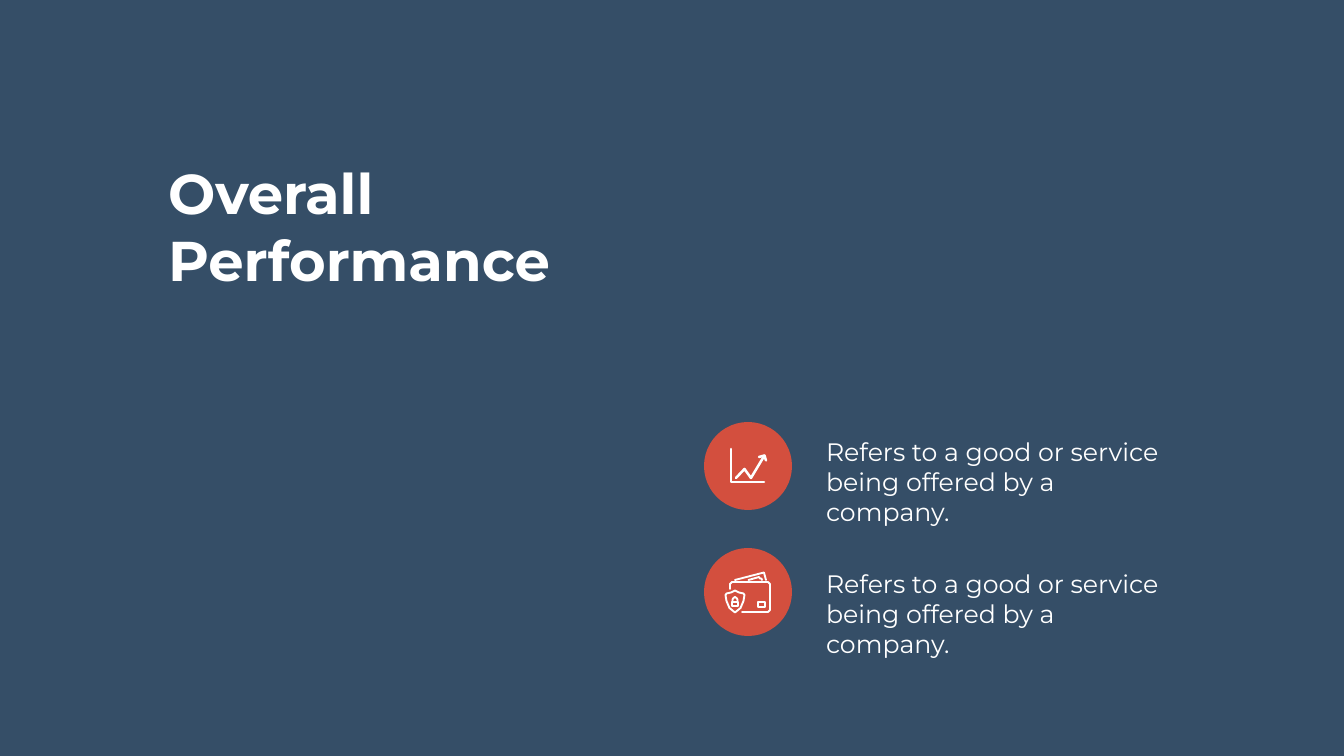
from dataclasses import dataclass

from pptx import Presentation
from pptx.dml.color import RGBColor
from pptx.enum.shapes import MSO_SHAPE
from pptx.enum.text import MSO_ANCHOR, MSO_AUTO_SIZE, PP_ALIGN
from pptx.oxml.ns import qn
from pptx.util import Pt
from lxml import etree

OVAL = MSO_SHAPE.OVAL
TOP = MSO_ANCHOR.TOP
GROW = MSO_AUTO_SIZE.SHAPE_TO_FIT_TEXT
LEFT = PP_ALIGN.LEFT
EMU_PER_PIXEL = 914400 / 50.4


@dataclass(frozen=True)
class Theme:
    background: RGBColor = RGBColor(0x35, 0x4E, 0x67)
    accent: RGBColor = RGBColor(0xD3, 0x4F, 0x3E)
    text: RGBColor = RGBColor(0xFF, 0xFF, 0xFF)
    icon: RGBColor = RGBColor(0xFE, 0xFF, 0xFF)
    font: str = "Montserrat"
    title_size: Pt = Pt(80)
    body_size: Pt = Pt(36)


theme = Theme()


def px(value):
    return round(value * EMU_PER_PIXEL)


def fill_placeholder(shape, text, box, size, bold, inset):
    shape.left, shape.top, shape.width, shape.height = map(px, box)
    text_frame = shape.text_frame
    text_frame.text = text
    text_frame.word_wrap = True
    text_frame.auto_size = GROW
    text_frame.vertical_anchor = TOP
    text_frame.margin_left = text_frame.margin_right = px(inset * 2)
    text_frame.margin_top = text_frame.margin_bottom = px(inset)
    paragraph = text_frame.paragraphs[0]
    paragraph.alignment = LEFT
    properties = paragraph._p.get_or_add_pPr()
    properties.set("marL", "0")
    properties.set("indent", "0")
    etree.SubElement(properties, qn("a:buNone"))
    font = paragraph.runs[0].font
    font.name = theme.font
    font.size = size
    font.bold = bold
    font.color.rgb = theme.text


presentation = Presentation()
presentation.slide_width = px(1344)
presentation.slide_height = px(756)
slide = presentation.slides.add_slide(presentation.slide_layouts[3])
slide.background.fill.solid()
slide.background.fill.fore_color.rgb = theme.background

title, *descriptions = list(slide.placeholders)[:3]
fill_placeholder(title, "Overall Performance", (163, 156, 407, 141),
                 theme.title_size, True, 2.5)

chart_icon = [
    ([(731, 449), (731, 482), (764, 482)], False),
    ([(736, 478), (744.5, 469), (751, 478), (764.5, 455.5)], False),
    ([(759, 457), (764.5, 455.5), (766, 460.5)], False),
]
wallet_icon = [
    ([(730, 589), (730, 584), (732, 582), (768, 582), (770, 584),
      (770, 610), (768, 612), (742, 612)], False),
    ([(758, 602), (765, 602), (765, 607), (758, 607)], True),
    ([(735, 580), (764, 572.5), (766, 580)], False),
    ([(748.5, 580), (759, 577), (760, 578.5), (761.5, 578.5), (762, 580)], False),
    ([(735, 590.5), (731, 592.5), (726.5, 593.5), (725.5, 595), (726.5, 601),
      (729.5, 608), (735, 612.5), (740.5, 608), (743.5, 601), (744.5, 595),
      (743.5, 593.5), (739, 592.5)], True),
    ([(732, 602), (738, 602), (738, 606), (732, 606)], True),
    ([(732.5, 602), (732.5, 599.5), (733.5, 598), (735, 597), (736.5, 598),
      (737.5, 599.5), (737.5, 602)], False),
]
rows = [(422, 430, chart_icon, Pt(3.6)), (548, 562, wallet_icon, Pt(2.7))]

for description, (circle_top, text_top, icon, stroke_width) in zip(descriptions, rows):
    fill_placeholder(description,
                     "Refers to a good or service being offered by a company.",
                     (814, text_top, 380, 73), theme.body_size, False, 6)

    circle = slide.shapes.add_shape(OVAL, px(704), px(circle_top), px(88), px(88))
    circle.shadow.inherit = False
    circle.fill.solid()
    circle.fill.fore_color.rgb = theme.accent
    circle.line.fill.background()

    for points, closed in icon:
        start, *rest = [(px(x), px(y)) for x, y in points]
        builder = slide.shapes.build_freeform(*start)
        builder.add_line_segments(rest, close=closed)
        stroke = builder.convert_to_shape()
        stroke.shadow.inherit = False
        stroke.fill.background()
        stroke.line.color.rgb = theme.icon
        stroke.line.width = stroke_width
        outline = stroke._element.spPr.find(qn("a:ln"))
        outline.set("cap", "rnd")
        etree.SubElement(outline, qn("a:round"))

for placeholder in list(slide.placeholders):
    if not placeholder.text_frame.text:
        placeholder._element.getparent().remove(placeholder._element)

presentation.save("out.pptx")
